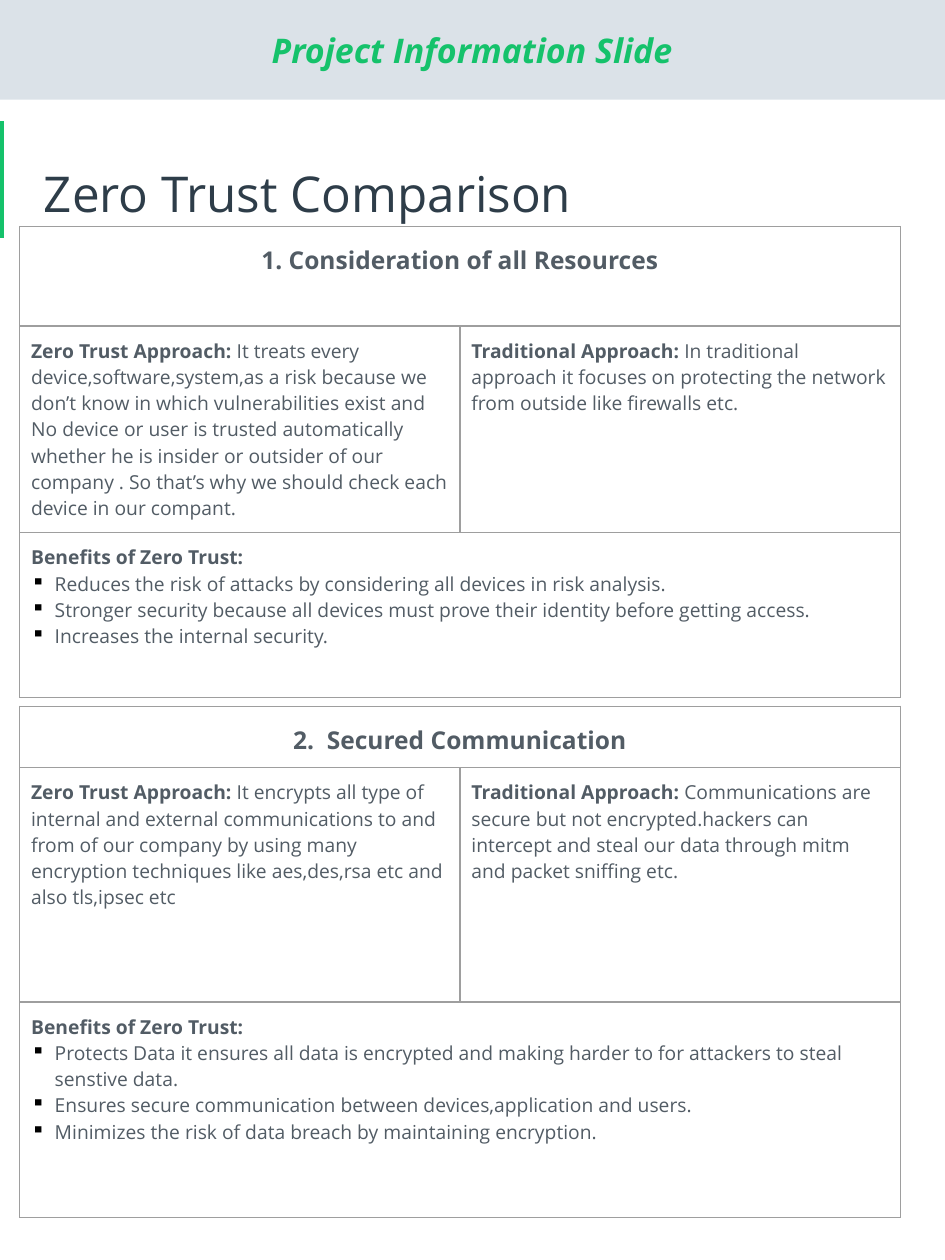
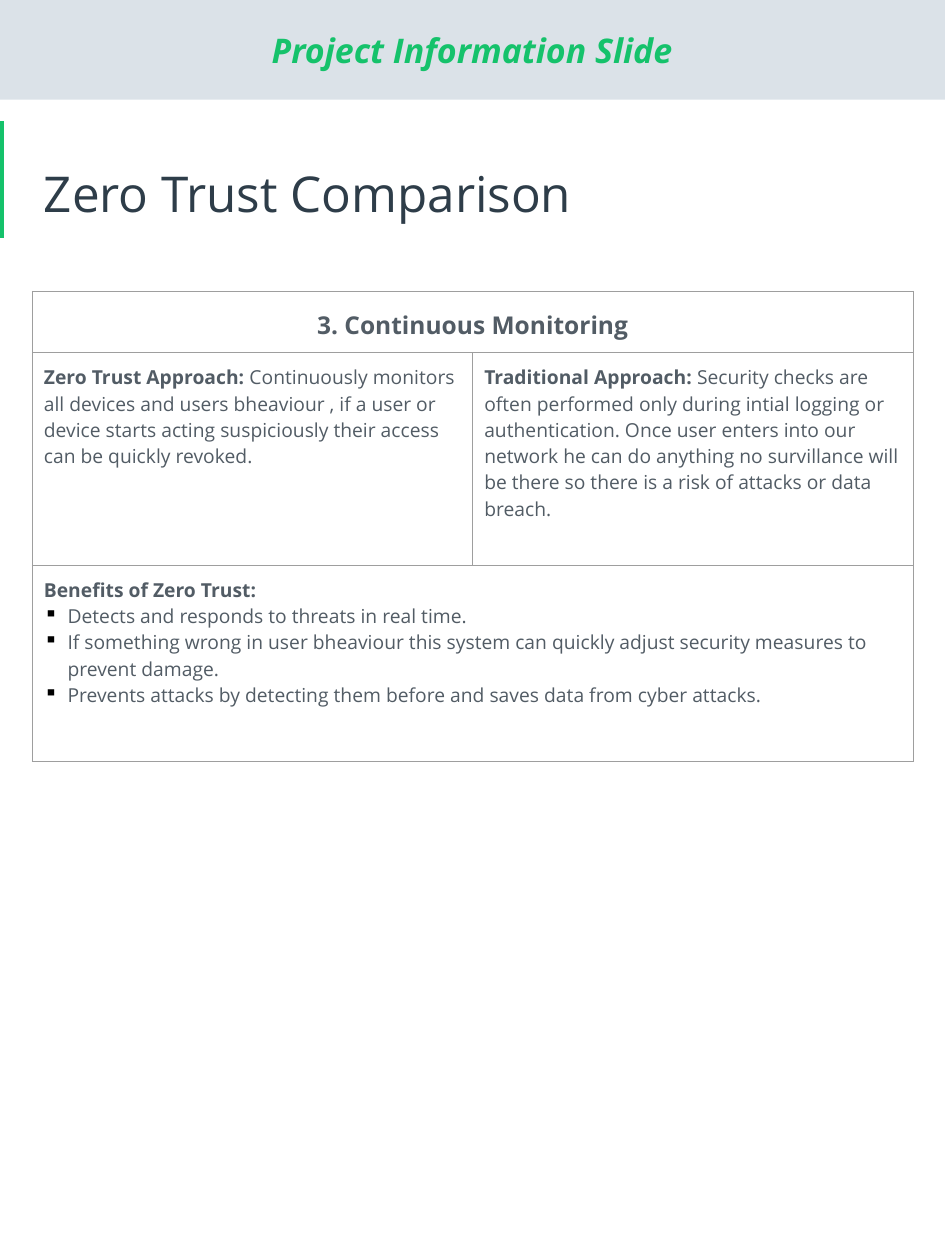
from dataclasses import dataclass

from lxml import etree
from pptx import Presentation
from pptx.dml.color import RGBColor
from pptx.enum.shapes import MSO_SHAPE
from pptx.enum.text import MSO_ANCHOR, MSO_AUTO_SIZE, PP_ALIGN
from pptx.oxml.ns import qn
from pptx.slide import Slide, SlideLayout
from pptx.util import Pt

RECT = MSO_SHAPE.RECTANGLE
MIDDLE = MSO_ANCHOR.MIDDLE
NO_FIT = MSO_AUTO_SIZE.NONE
LEFT, CENTER = PP_ALIGN.LEFT, PP_ALIGN.CENTER

FONT = "Open Sans"
COLORS = {
    "green": "15C26B",
    "band": "DBE2E8",
    "title": "2E3D49",
    "text": "525C65",
    "line": "9E9E9E",
    "bullet": "000000",
}
PAD = 6.6
INDENT = 13.5
COLUMN = 251.64
SIDES = ("a:lnL", "a:lnR", "a:lnT", "a:lnB")
TITLE = "Zero Trust Comparison"


@dataclass(frozen=True)
class Bar:
    left: float
    top: float
    width: float
    height: float
    color: str
    text: str = ""


@dataclass(frozen=True)
class Topic:
    left: float
    top: float
    rows: tuple[float, float, float]
    head: str
    zero: tuple[str, ...]
    old: str
    gains: tuple[str, ...]


BARS = (
    Bar(0, 69.2, 2.3, 66.7, "green"),
    Bar(0, 0, 540, 56.9, "band", "Project Information Slide"),
)

PAGES = (
    (
        Topic(
            11.2, 129.4, (56.9, 102.2, 94.3),
            "1. Consideration of all Resources",
            (
                "It treats every device,software,system,as a risk because we "
                "don’t know in which vulnerabilities exist and",
                "No device or user is trusted automatically whether he is insider or "
                "outsider of our company . So that’s why we should check each device "
                "in our compant.",
            ),
            "In traditional approach it focuses on protecting the network from "
            "outside like firewalls etc.",
            (
                "Reduces the risk of attacks by considering all devices in risk analysis.",
                "Stronger security because all devices must prove their identity "
                "before getting access.",
                "Increases the internal security.",
            ),
        ),
        Topic(
            11.2, 403.6, (34, 133.9, 123.1),
            "2.  Secured Communication",
            (
                "It encrypts all type of internal and external communications to and "
                "from of our company by using many encryption techniques like "
                "aes,des,rsa etc and also tls,ipsec etc",
            ),
            "Communications are secure but not encrypted.hackers can intercept and "
            "steal our data through mitm and packet sniffing etc.",
            (
                "Protects Data it ensures all data is encrypted and making harder to "
                "for attackers to steal senstive data.",
                "Ensures secure communication between devices,application and users.",
                "Minimizes the risk of data breach by maintaining encryption.",
            ),
        ),
    ),
    (
        Topic(
            18.5, 166.5, (31, 121.4, 112),
            "3. Continuous Monitoring",
            (
                "Continuously monitors all devices and users bheaviour , if a user or "
                "device starts acting suspiciously their access can be quickly revoked.",
            ),
            "Security checks are often performed only during intial logging or "
            "authentication. Once user enters into our network he can do anything no "
            "survillance will be there so there is a risk of attacks or data breach.",
            (
                "Detects and responds to threats in real time.",
                "If something wrong in user bheaviour this system can quickly adjust "
                "security measures to prevent damage.",
                "Prevents attacks by detecting them before and saves data from cyber "
                "attacks.",
            ),
        ),
    ),
)


def rgb(name: str) -> RGBColor:
    return RGBColor.from_string(COLORS[name])


def style(run, size: float, color: str, bold: bool = False, italic: bool = False) -> None:
    font = run.font
    font.name, font.size = FONT, Pt(size)
    font.bold, font.italic = bold, italic
    font.color.rgb = rgb(color)


def pad(item) -> None:
    item.margin_left = item.margin_right = Pt(PAD)
    item.margin_top = item.margin_bottom = Pt(PAD)


def add_bars(slide: Slide, layout: SlideLayout) -> None:
    for num, bar in enumerate(BARS, 20):
        shape = slide.shapes.add_shape(
            RECT, Pt(bar.left), Pt(bar.top), Pt(bar.width), Pt(bar.height)
        )
        shape.shadow.inherit = False
        shape.fill.solid()
        shape.fill.fore_color.rgb = rgb(bar.color)
        shape.line.fill.background()
        if bar.text:
            frame = shape.text_frame
            pad(frame)
            frame.vertical_anchor = MIDDLE
            frame.text = bar.text
            line = frame.paragraphs[0]
            line.alignment = CENTER
            style(line.runs[0], 19.4, "green", True, True)
        shape.element.nvSpPr.cNvPr.set("id", str(num))
        layout.shapes.element.append(shape.element)


def set_title(slide: Slide) -> None:
    title = slide.shapes.title
    title.left, title.top = Pt(18.5), Pt(71.3)
    title.width, title.height = Pt(2 * COLUMN), Pt(77.8)
    frame = title.text_frame
    pad(frame)
    frame.word_wrap = True
    frame.auto_size = NO_FIT
    frame.vertical_anchor = MIDDLE
    frame.text = TITLE
    line = frame.paragraphs[0]
    line.alignment = LEFT
    style(line.runs[0], 28.2, "title")


def border(cell) -> None:
    props = cell._tc.get_or_add_tcPr()
    for spot, side in enumerate(SIDES):
        edge = etree.Element(qn(side), w=str(Pt(0.75)))
        fill = etree.SubElement(edge, qn("a:solidFill"))
        etree.SubElement(fill, qn("a:srgbClr"), val=COLORS["line"])
        props.insert(spot, edge)


def bullet(line) -> None:
    props = line._p.get_or_add_pPr()
    props.set("marL", str(Pt(INDENT)))
    props.set("indent", str(-Pt(INDENT)))
    tint = etree.SubElement(props, qn("a:buClr"))
    etree.SubElement(tint, qn("a:srgbClr"), val=COLORS["bullet"])
    etree.SubElement(props, qn("a:buChar"), char="▪")


def fill_cell(cell, label: str, texts: tuple[str, ...], listed: bool = False) -> None:
    frame = cell.text_frame
    line = frame.paragraphs[0]
    line.text = label
    style(line.runs[0], 11, "text", True)
    rest = texts
    if not listed:
        run = line.add_run()
        run.text = " " + texts[0]
        style(run, 11, "text")
        rest = texts[1:]
    for text in rest:
        line = frame.add_paragraph()
        line.text = text
        style(line.runs[0], 11, "text")
        if listed:
            bullet(line)


def add_topic(slide: Slide, topic: Topic) -> None:
    table = slide.shapes.add_table(
        3, 2, Pt(topic.left), Pt(topic.top), Pt(2 * COLUMN), Pt(sum(topic.rows))
    ).table
    table.first_row = table.horz_banding = False
    for col in table.columns:
        col.width = Pt(COLUMN)
    for row, height in zip(table.rows, topic.rows):
        row.height = Pt(height)
    for cell in table.iter_cells():
        pad(cell)
        cell.fill.background()
        border(cell)
    for num in (0, 2):
        table.cell(num, 0).merge(table.cell(num, 1))

    line = table.cell(0, 0).text_frame.paragraphs[0]
    line.text = topic.head
    line.alignment = CENTER
    line.line_spacing = 1.15
    style(line.runs[0], 14, "text", True)
    fill_cell(table.cell(1, 0), "Zero Trust Approach:", topic.zero)
    fill_cell(table.cell(1, 1), "Traditional Approach:", (topic.old,))
    fill_cell(table.cell(2, 0), "Benefits of Zero Trust:", topic.gains, True)


def main() -> None:
    deck = Presentation()
    deck.slide_width, deck.slide_height = Pt(540), Pt(720)
    layout = deck.slide_layouts[5]
    for num, topics in enumerate(PAGES):
        slide = deck.slides.add_slide(layout)
        if num == 0:
            add_bars(slide, layout)
        set_title(slide)
        for topic in topics:
            add_topic(slide, topic)
    deck.save("out.pptx")


if __name__ == "__main__":
    main()
